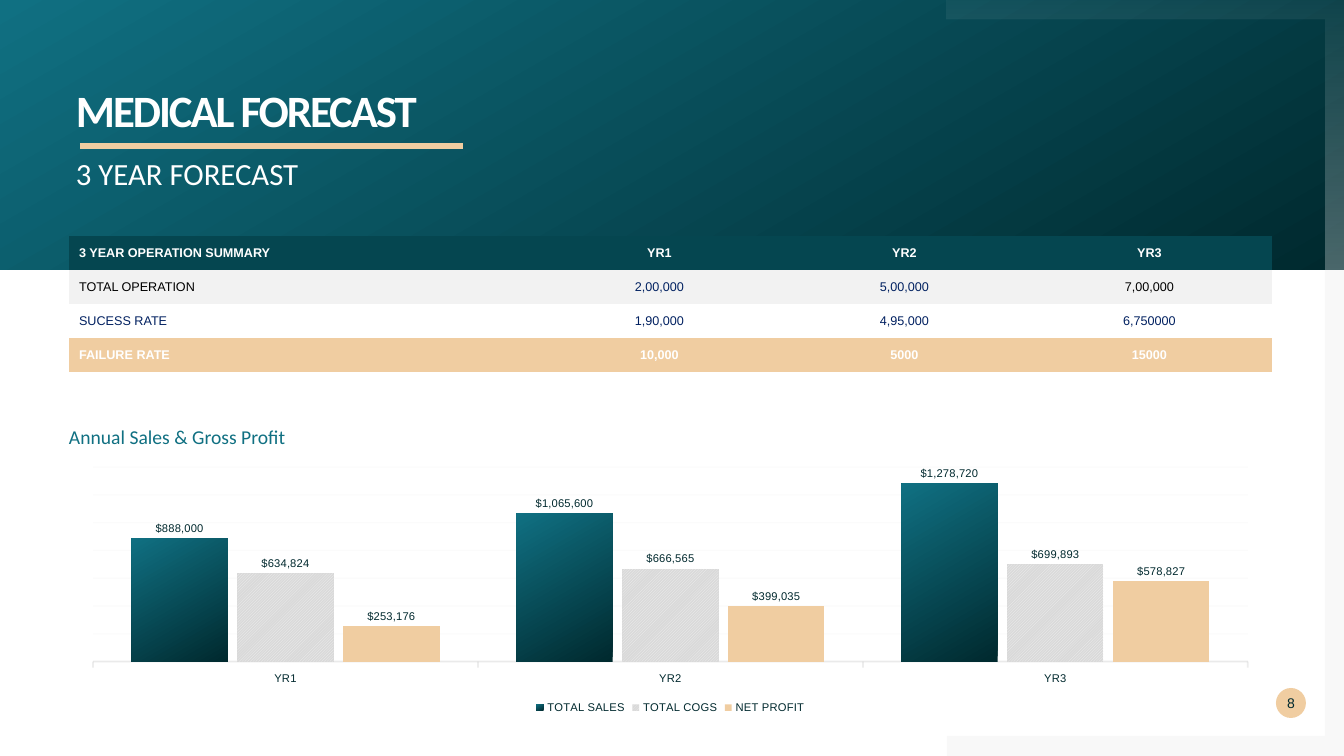
from dataclasses import dataclass
from typing import Optional

from lxml import etree
from pptx import Presentation
from pptx.chart import data as chart_data
from pptx.dml import color, fill as dml_fill
from pptx.enum import chart as chart_enum, dml, shapes, text
from pptx.oxml import ns
from pptx.util import Emu, Pt

SCALE = 12192000 / 1344
WIDTH, HEIGHT, BAND_HEIGHT = 1344, 756, 270

WHITE = color.RGBColor(0xFF, 0xFF, 0xFF)
BLACK = color.RGBColor(0x00, 0x00, 0x00)
NAVY = color.RGBColor(0x00, 0x20, 0x60)
DARK_TEAL = color.RGBColor(0x00, 0x29, 0x2E)
HEADER_TEAL = color.RGBColor(0x05, 0x46, 0x50)
TEAL = color.RGBColor(0x10, 0x70, 0x82)
SAND = color.RGBColor(0xF0, 0xCD, 0xA1)
PALE = color.RGBColor(0xF2, 0xF2, 0xF2)
SILVER = color.RGBColor(0xD9, 0xD9, 0xD9)
AXIS_GREY = color.RGBColor(0xBF, 0xBF, 0xBF)
GREY = color.RGBColor(0x80, 0x80, 0x80)

NO_GRID_STYLE = "{2D5ABB26-0587-4C30-8999-92F81FD0307C}"
YEARS = ("YR1", "YR2", "YR3")
DOLLARS = '"$"#,##0'


@dataclass(frozen=True)
class Heading:
    words: str
    left: int
    top: int
    width: int
    height: int
    size: int
    ink: color.RGBColor
    bold: bool = False
    wrap: bool = True
    line_spacing: Optional[float] = None
    tracking: int = 0


@dataclass(frozen=True)
class SummaryRow:
    cells: tuple[str, ...]
    inks: tuple[color.RGBColor, ...]
    background: Optional[color.RGBColor]
    bold: bool = False


HEADINGS = (
    Heading("MEDICAL FORECAST", 76, 89, 834, 40, 32, WHITE,
            bold=True, line_spacing=0.9, tracking=-150),
    Heading("3 YEAR FORECAST", 76, 155, 834, 39, 22, WHITE),
    Heading("Annual Sales & Gross Profit", 69, 425, 222, 24, 14, TEAL, wrap=False),
)
SUMMARY = (
    SummaryRow(("3 YEAR OPERATION SUMMARY", *YEARS), (WHITE,) * 4, HEADER_TEAL, True),
    SummaryRow(("TOTAL OPERATION", "2,00,000", "5,00,000", "7,00,000"),
               (BLACK, NAVY, NAVY, BLACK), PALE),
    SummaryRow(("SUCESS RATE", "1,90,000", "4,95,000", "6,750000"), (NAVY,) * 4, None),
    SummaryRow(("FAILURE RATE", "10,000", "5000", "15000"), (WHITE,) * 4, SAND, True),
)
COLUMN_WIDTHS = (468, 245, 245, 245)
ROW_HEIGHT = 34
SALES = {
    "TOTAL SALES": (888000, 1065600, 1278720),
    "TOTAL COGS": (634824, 666565, 699893),
    "NET PROFIT": (253176, 399035, 578827),
}
PLOT_AREA = {"x": 0.02, "y": 0.02, "w": 0.96, "h": 0.76}
LOWER_FRAME = ((1325, 270), (1344, 270), (1344, 756), (947, 756), (947, 736), (1325, 736))
UPPER_FRAME = ((947, 0), (1344, 0), (1344, 270), (1325, 270), (1325, 20), (947, 20))


def px(length: int) -> Emu:
    return Emu(round(length * SCALE))


def fade(element, *percents: int) -> None:
    for tint, percent in zip(element.iter(ns.qn("a:srgbClr")), percents):
        etree.SubElement(tint, ns.qn("a:alpha")).set("val", str(percent * 1000))


def set_gradient(fill: dml_fill.FillFormat, start: color.RGBColor,
                 end: color.RGBColor, angle: int) -> None:
    fill.gradient()
    fill.gradient_angle = angle
    for stop, tint in zip(fill.gradient_stops, (start, end)):
        stop.color.rgb = tint


def set_solid(fill: dml_fill.FillFormat, tint: color.RGBColor) -> None:
    fill.solid()
    fill.fore_color.rgb = tint


def write(paragraph, words: str, size: int, ink: color.RGBColor,
          bold: bool = False, face: str = "Arial"):
    run = paragraph.add_run()
    run.text = words
    run.font.name, run.font.size, run.font.bold = face, Pt(size), bold
    run.font.color.rgb = ink
    return run


def clear_insets(frame) -> None:
    frame.margin_left = frame.margin_top = frame.margin_right = frame.margin_bottom = 0


def add_plain(slide, kind: shapes.MSO_SHAPE, left: int, top: int, width: int, height: int):
    shape = slide.shapes.add_shape(kind, px(left), px(top), px(width), px(height))
    shape.shadow.inherit = False
    shape.line.fill.background()
    return shape


def add_frame(slide, points: tuple[tuple[int, int], ...]):
    builder = slide.shapes.build_freeform(*points[0], scale=SCALE)
    builder.add_line_segments(points[1:], close=True)
    frame = builder.convert_to_shape()
    frame.shadow.inherit = False
    frame.line.fill.background()
    return frame


def add_heading(slide, heading: Heading) -> None:
    box = slide.shapes.add_textbox(px(heading.left), px(heading.top),
                                   px(heading.width), px(heading.height))
    box.text_frame.word_wrap = heading.wrap
    clear_insets(box.text_frame)
    paragraph = box.text_frame.paragraphs[0]
    paragraph.line_spacing = heading.line_spacing
    run = write(paragraph, heading.words, heading.size, heading.ink, heading.bold, "Calibri")
    if heading.tracking:
        run.font._element.set("spc", str(heading.tracking))


def add_background(slide) -> None:
    lower = add_frame(slide, LOWER_FRAME)
    set_solid(lower.fill, GREY)
    fade(lower._element.spPr, 5)
    band = add_plain(slide, shapes.MSO_SHAPE.RECTANGLE, 0, 0, WIDTH, BAND_HEIGHT)
    set_gradient(band.fill, DARK_TEAL, TEAL, 120)
    upper = add_frame(slide, UPPER_FRAME)
    set_gradient(upper.fill, WHITE, WHITE, 270)
    fade(upper._element.spPr, 5, 30)


def add_underline(slide) -> None:
    underline = slide.shapes.add_connector(
        shapes.MSO_CONNECTOR.STRAIGHT, px(80), px(146), px(463), px(146))
    underline.line.color.rgb = SAND
    underline.line.width = Pt(4.32)
    etree.SubElement(underline._element.spPr, ns.qn("a:effectLst"))


def add_page_number(slide) -> None:
    badge = add_plain(slide, shapes.MSO_SHAPE.OVAL, 1276, 688, 30, 30)
    set_solid(badge.fill, SAND)
    clear_insets(badge.text_frame)
    badge.text_frame.vertical_anchor = text.MSO_ANCHOR.MIDDLE
    paragraph = badge.text_frame.paragraphs[0]
    paragraph.alignment = text.PP_ALIGN.CENTER
    write(paragraph, "8", 10, DARK_TEAL)


def add_summary(slide) -> None:
    summary = slide.shapes.add_table(
        len(SUMMARY), len(COLUMN_WIDTHS), px(69), px(236),
        px(sum(COLUMN_WIDTHS)), px(ROW_HEIGHT * len(SUMMARY))).table
    summary._tbl.tblPr.find(ns.qn("a:tableStyleId")).text = NO_GRID_STYLE
    summary.horz_banding = False
    for column, width in zip(summary.columns, COLUMN_WIDTHS):
        column.width = px(width)
    for row, entry in zip(summary.rows, SUMMARY):
        row.height = px(ROW_HEIGHT)
        for index, (cell, words, ink) in enumerate(zip(row.cells, entry.cells, entry.inks)):
            if entry.background is None:
                cell.fill.background()
            else:
                set_solid(cell.fill, entry.background)
            cell.vertical_anchor = text.MSO_ANCHOR.MIDDLE
            paragraph = cell.text_frame.paragraphs[0]
            paragraph.alignment = text.PP_ALIGN.CENTER if index else text.PP_ALIGN.LEFT
            write(paragraph, words, 9, ink, entry.bold)


def add_sales_chart(slide) -> None:
    figures = chart_data.CategoryChartData(number_format=DOLLARS)
    figures.categories = YEARS
    for name, values in SALES.items():
        figures.add_series(name, values)
    sales = slide.shapes.add_chart(
        chart_enum.XL_CHART_TYPE.COLUMN_CLUSTERED,
        px(69), px(462), px(1203), px(256), figures).chart
    sales.has_title = False
    sales.font.name, sales.font.size = "Arial", Pt(8)
    sales.font.color.rgb = DARK_TEAL
    sales.has_legend = True
    sales.legend.position = chart_enum.XL_LEGEND_POSITION.BOTTOM
    sales.legend.include_in_layout = False

    plot = sales.plots[0]
    plot.gap_width, plot.overlap, plot.vary_by_categories = 80, -10, False
    plot.has_data_labels = True
    labels = plot.data_labels
    labels.show_value = True
    labels.number_format, labels.number_format_is_linked = DOLLARS, False
    labels.position = chart_enum.XL_LABEL_POSITION.OUTSIDE_END
    total, cogs, profit = (series.format.fill for series in plot.series)
    set_gradient(total, DARK_TEAL, TEAL, 120)
    cogs.patterned()
    cogs.pattern = dml.MSO_PATTERN.DARK_UPWARD_DIAGONAL
    cogs.fore_color.rgb, cogs.back_color.rgb = PALE, SILVER
    set_solid(profit, SAND)

    years, dollars = sales.category_axis, sales.value_axis
    years.major_tick_mark = chart_enum.XL_TICK_MARK.OUTSIDE
    years.format.line.color.rgb, years.format.line.width = AXIS_GREY, Pt(1.25)
    fade(years._element.find(ns.qn("c:spPr")), 27)
    dollars.visible = False
    dollars.minimum_scale, dollars.maximum_scale, dollars.major_unit = 0, 1400000, 200000
    grid = dollars.major_gridlines.format.line
    grid.color.rgb, grid.width = PALE, Pt(0.75)
    fade(dollars._element.find(ns.qn("c:majorGridlines")), 30)

    area = sales._chartSpace.chart.plotArea
    for old in area.findall(ns.qn("c:layout")):
        area.remove(old)
    layout = etree.Element(ns.qn("c:layout"))
    area.insert(0, layout)
    manual = etree.SubElement(layout, ns.qn("c:manualLayout"))
    settings = {"layoutTarget": "inner", "xMode": "edge", "yMode": "edge", **PLOT_AREA}
    for tag, value in settings.items():
        etree.SubElement(manual, ns.qn(f"c:{tag}")).set("val", str(value))


def main() -> None:
    deck = Presentation()
    deck.slide_width, deck.slide_height = px(WIDTH), px(HEIGHT)
    slide = deck.slides.add_slide(deck.slide_layouts[6])
    add_background(slide)
    add_underline(slide)
    add_page_number(slide)
    add_summary(slide)
    add_sales_chart(slide)
    for heading in HEADINGS:
        add_heading(slide, heading)
    deck.save("out.pptx")


if __name__ == "__main__":
    main()
